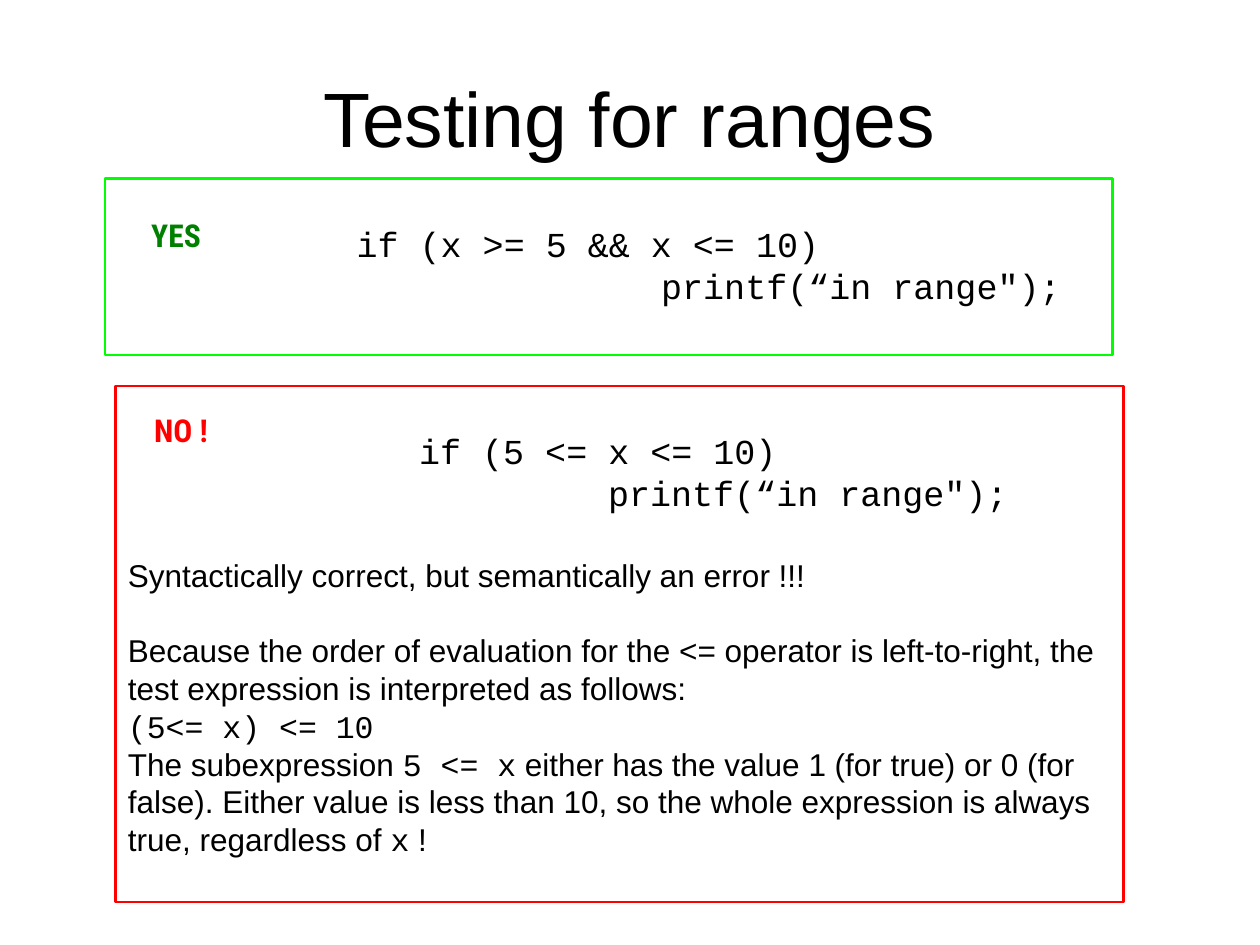
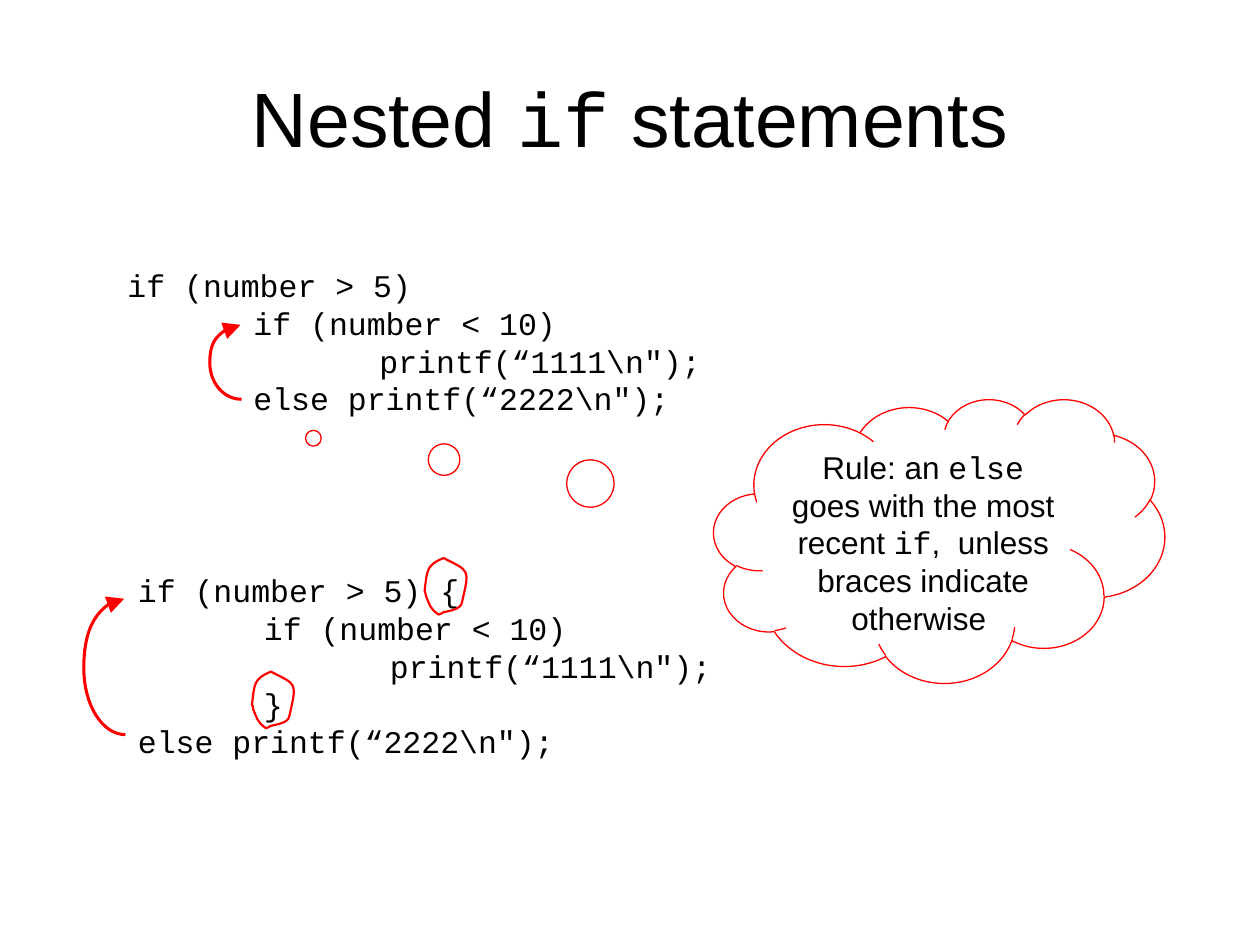
from pptx import Presentation
from pptx.dml.color import RGBColor
from pptx.enum.shapes import MSO_SHAPE
from pptx.enum.text import MSO_ANCHOR, MSO_AUTO_SIZE, PP_ALIGN
from pptx.oxml.ns import qn
from pptx.util import Cm, Pt
from lxml.etree import SubElement

COLORS = {"ink": "000000", "frame": "00FF00", "yes": "008000", "red": "FF0000"}
BODY, CODE, LABEL = "Arial", "Courier New", "Roboto Condensed"
TAB = 2.54  # one code indent, in cm

# Outlines as a start point and cubic curves, in fractions of their box
ARROW = [(1, 1), [(.44, 1), (0, .78), (0, .51)], [(0, .24), (.44, 0), (.97, 0)]]
LOOP = [(.42, 0), [(1, .24), (1, .18), (.83, .78)],
        [(.81, .91), (.56, .93), (.42, .96)], [(.39, .98), (.31, 1), (.31, 1)],
        [(.11, .89), (.11, .82), (.03, .67)], [(.03, .62), (0, .58), (0, .58)],
        [(.06, .22), (.03, .13), (.42, 0)]]


def tint(name):
    return RGBColor.from_string(COLORS[name])


def write(para, text, size=18, indent=0, before=0, align=PP_ALIGN.LEFT,
          color="ink", font=BODY, bold=False):
    """Write one paragraph; parts between backticks are code."""
    for i, part in enumerate(text.split("`")):
        if not part:
            continue
        run = para.add_run()
        run.text = part
        run.font.name = CODE if i % 2 else font
        run.font.size = Pt(size)
        run.font.bold = bold
        run.font.color.rgb = tint(color)
    para.alignment = align
    para.line_spacing = Pt(size * 1.2)
    para.space_before = Pt(before)
    if indent:
        props = para._p.get_or_add_pPr()
        props.set("marL", str(Cm(indent)))
        props.set("indent", "0")


def fill(frame, lines):
    """Write a list of (text, options) into a text frame."""
    for i, (text, opts) in enumerate(lines):
        para = frame.add_paragraph() if i else frame.paragraphs[0]
        write(para, text, **opts)


def outline(shape, color, width):
    shape.shadow.inherit = False
    shape.fill.background()
    shape.line.color.rgb = tint(color)
    shape.line.width = Pt(width)


def start(deck, title):
    """Add a slide with the shared title."""
    slide = deck.slides.add_slide(deck.slide_layouts[5])
    head = slide.shapes.title
    head.left, head.top, head.width, head.height = Cm(1.27), Cm(.76), Cm(22.86), Cm(3.18)
    frame = head.text_frame
    frame.auto_size = MSO_AUTO_SIZE.NONE
    frame.vertical_anchor = MSO_ANCHOR.MIDDLE
    write(frame.paragraphs[0], title, size=44, align=PP_ALIGN.CENTER)
    return slide


def text_box(slide, x, y, w, h, lines):
    frame = slide.shapes.add_textbox(Cm(x), Cm(y), Cm(w), Cm(h)).text_frame
    frame.word_wrap = False
    fill(frame, lines)


def panel(slide, x, y, w, h, edge, lines, label, color, dx, dy):
    """Framed example with a verdict in its corner."""
    box = slide.shapes.add_shape(MSO_SHAPE.RECTANGLE, Cm(x), Cm(y), Cm(w), Cm(h))
    outline(box, edge, 1.25)
    frame = box.text_frame
    frame.word_wrap = True
    frame.vertical_anchor = MSO_ANCHOR.TOP
    frame.margin_top = Cm(.88)
    fill(frame, lines)
    text_box(slide, x + dx, y + dy, 1.8, 1.6,
             [(label, dict(font=LABEL, color=color, bold=True))])


def listing(slide, x, y, w, h, rows):
    """Code lines, each with its indent level."""
    text_box(slide, x, y, w, h,
             [(f"`{code}`", dict(indent=level * TAB)) for level, code in rows])


def curve(slide, x, y, w, h, path, width, closed=False):
    """Draw a smooth outline inside a box."""
    def spot(point):
        return Cm(x + w * point[0]), Cm(y + h * point[1])

    pen = slide.shapes.build_freeform(*spot(path[0]))
    pen.add_line_segments([spot(part[-1]) for part in path[1:]], close=closed)
    shape = pen.convert_to_shape()
    shape.left, shape.top, shape.width, shape.height = Cm(x), Cm(y), Cm(w), Cm(h)
    outline(shape, "red", width)
    # Turn the straight segments into cubic curves
    track = next(shape._element.iter(qn("a:path")))
    track.set("w", str(Cm(w)))
    track.set("h", str(Cm(h)))
    for step, part in zip(track.findall(qn("a:lnTo")), path[1:]):
        bend = SubElement(track, qn("a:cubicBezTo"))
        for u, v in part:
            SubElement(bend, qn("a:pt"), x=str(Cm(w * u)), y=str(Cm(h * v)))
        track.replace(step, bend)
    return shape


def arrow(slide, x, y, w, h):
    """Curved arrow from an else up to its if."""
    line = curve(slide, x, y, w, h, ARROW, 1.75).line
    SubElement(line._get_or_add_ln(), qn("a:tailEnd"),
               type="triangle", w="lg", len="lg")


def cloud(slide, x, y, w, h, text):
    """Thought cloud with its trail of bubbles."""
    shape = slide.shapes.add_shape(MSO_SHAPE.CLOUD_CALLOUT, Cm(x), Cm(y), Cm(w), Cm(h))
    shape.adjustments[0], shape.adjustments[1] = -1.388, -.361
    outline(shape, "red", .75)
    frame = shape.text_frame
    frame.word_wrap = True
    frame.vertical_anchor = MSO_ANCHOR.TOP
    fill(frame, [(text, dict(align=PP_ALIGN.CENTER))])


def ranges(deck):
    slide = start(deck, "Testing for ranges")
    shout = '`printf(“in range");`'
    panel(slide, 2.11, 3.6, 20.32, 3.56, "frame", [
        ("`if (x >= 5 && x <= 10)`", dict(size=20, indent=4.83)),
        (shout, dict(size=20, indent=10.97)),
    ], "YES", "yes", .69, .64)
    panel(slide, 2.33, 7.78, 20.32, 10.41, "red", [
        ("`if (5 <= x <= 10)`", dict(size=20, indent=5.87)),
        (shout, dict(size=20, indent=9.68)),
        ("Syntactically correct, but semantically an error !!!", dict(before=24)),
        ("Because the order of evaluation for the <= operator is left-to-right, "
         "the test expression is interpreted as follows:", dict(before=21.6)),
        ("`(5<= x) <= 10`", {}),
        ("The subexpression `5 <= x` either has the value 1 (for true) or 0 "
         "(for false). Either value is less than 10, so the whole expression "
         "is always true, regardless of `x` !", {}),
    ], "NO !", "red", .53, .39)


def nested(deck):
    slide = start(deck, "Nested `if` statements")
    outer, inner = "if (number > 5)", "if (number < 10)"
    ones, twos = r'printf(“1111\n");', r'else printf(“2222\n");'
    # Else joins the inner if
    listing(slide, 2.32, 5.24, 12.45, 3.3,
            [(0, outer), (1, inner), (2, ones), (1, twos)])
    arrow(slide, 4.23, 6.55, .64, 1.5)
    # Braces join else to the outer if
    listing(slide, 2.53, 11.39, 12.07, 4.06,
            [(0, outer + " {"), (1, inner), (2, ones), (1, "}"), (0, twos)])
    arrow(slide, 1.69, 12.07, .84, 2.74)
    cloud(slide, 14.39, 8.04, 9.09, 5.72,
          "Rule: an `else` goes with the most recent `if`,  unless braces "
          "indicate otherwise ")
    # Loops round the braces
    for x, y in ((8.56, 11.25), (5.08, 13.54)):
        curve(slide, x, y, .91, 1.14, LOOP, 1.25, closed=True)


def main():
    deck = Presentation()
    deck.slide_width, deck.slide_height = Cm(25.4), Cm(19.05)
    ranges(deck)
    nested(deck)
    deck.save("out.pptx")


if __name__ == "__main__":
    main()
